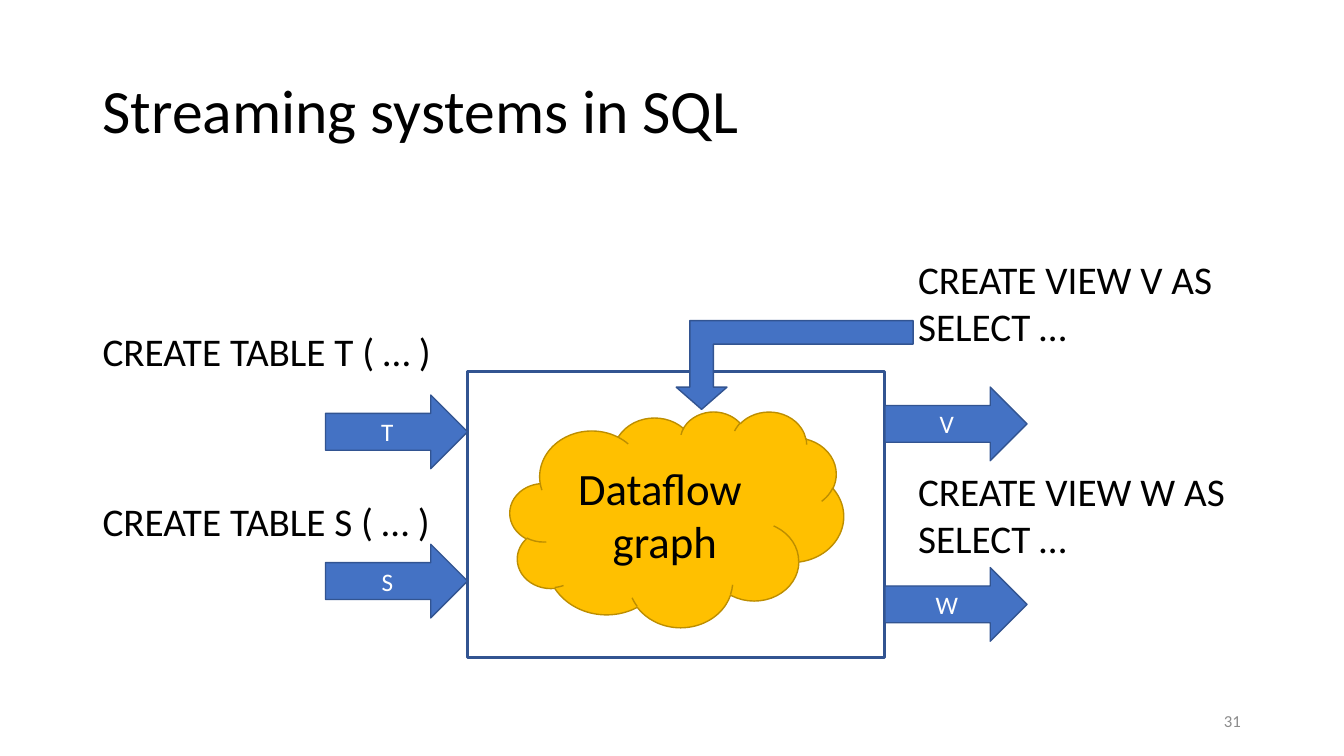
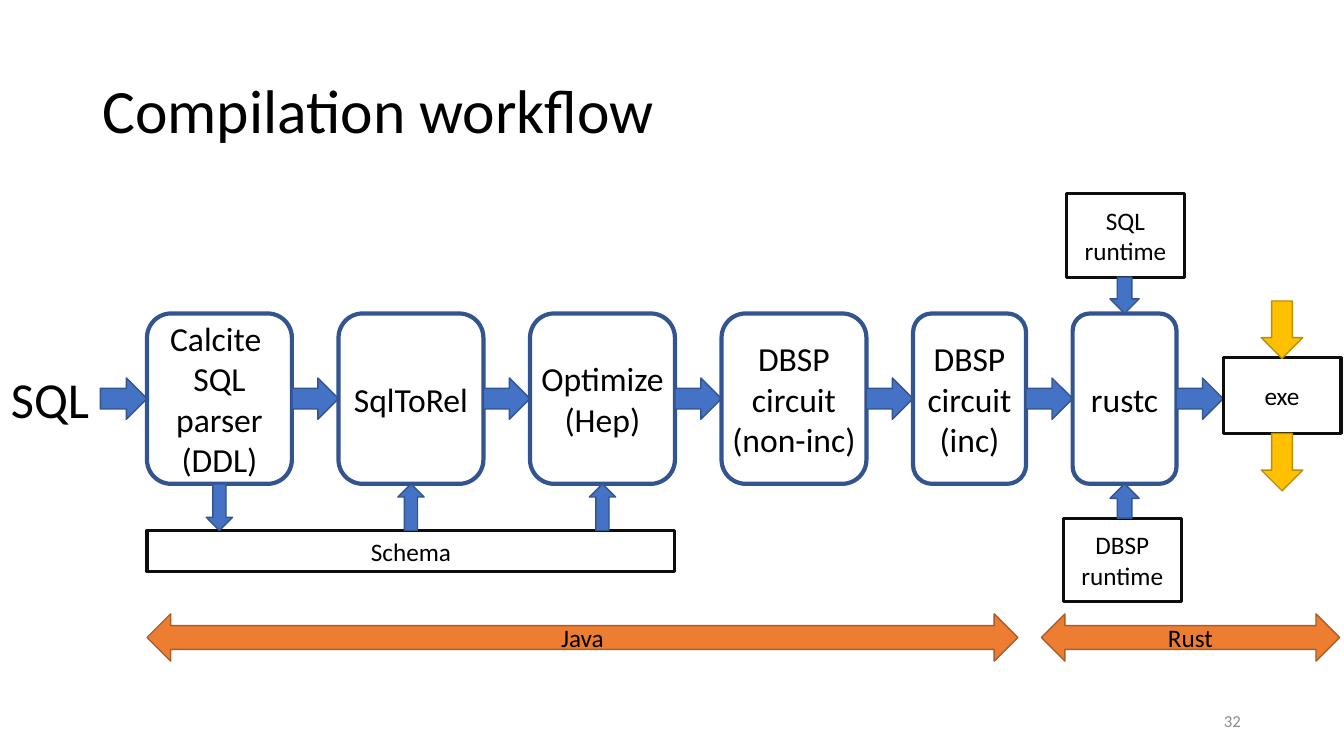
from pptx import Presentation
from pptx.dml.color import RGBColor
from pptx.enum.shapes import MSO_SHAPE
from pptx.enum.text import MSO_ANCHOR, PP_ALIGN
from pptx.util import Pt

RECT, ROUND, CLOUD = MSO_SHAPE.RECTANGLE, MSO_SHAPE.ROUNDED_RECTANGLE, MSO_SHAPE.CLOUD
RIGHT, DOWN, UP = MSO_SHAPE.RIGHT_ARROW, MSO_SHAPE.DOWN_ARROW, MSO_SHAPE.UP_ARROW
BOTH, BENT = MSO_SHAPE.LEFT_RIGHT_ARROW, MSO_SHAPE.BENT_UP_ARROW
TOP, MID = MSO_ANCHOR.TOP, MSO_ANCHOR.MIDDLE
LEFT, CENTER, END = PP_ALIGN.LEFT, PP_ALIGN.CENTER, PP_ALIGN.RIGHT

FONT = "Calibri"
HEX = {
    "black": "000000", "white": "FFFFFF", "gray": "8C8C8C", "ink": "0D0D0D",
    "blue": "4472C4", "navy": "325491", "gold": "FFC000", "ochre": "BD8E00",
    "orange": "ED7D31", "rust": "AF5C24",
}
BLUE = ("blue", "navy", 1)
GOLD = ("gold", "ochre", 1)
ORANGE = ("orange", "rust", 1)
FRAME = (None, "navy", 2.25)
STAGE = (None, "navy", 3)
PLAIN = (None, "ink", 2.25)


def color(name):
    """Return the palette colour of that name."""
    return RGBColor.from_string(HEX[name])


def write(shape, paras, size, ink="black", align=LEFT, anchor=TOP, wrap=True, lead=None, gap=0):
    """Fill a shape with paragraphs, breaking lines at each newline."""
    frame = shape.text_frame
    frame.word_wrap = wrap
    frame.vertical_anchor = anchor
    for num, text in enumerate(paras):
        para = frame.add_paragraph() if num else frame.paragraphs[0]
        para.alignment = align
        if lead:
            para.line_spacing = lead
        if num:
            para.space_before = Pt(gap)
        for row, line in enumerate(text.split("\n")):
            if row:
                para.add_line_break()
            run = para.add_run()
            run.text = line
            run.font.name = FONT
            run.font.size = Pt(size)
            run.font.color.rgb = color(ink)


def label(slide, box, paras, size, **style):
    """Add a text box."""
    write(slide.shapes.add_textbox(*map(Pt, box)), paras, size, **style)


def draw(slide, kind, box, look, text=None, size=18, ink="black", wrap=True):
    """Add a preset shape with its look and centred text."""
    shape = slide.shapes.add_shape(kind, *map(Pt, box))
    shape.shadow.inherit = False
    fill, edge, width = look
    if fill:
        shape.fill.solid()
        shape.fill.fore_color.rgb = color(fill)
    else:
        shape.fill.background()
    shape.line.color.rgb = color(edge)
    shape.line.width = Pt(width)
    if text:
        write(shape, [text], size, ink, CENTER, MID, wrap)
    return shape


def begin(deck, title, number):
    """Add a slide with its title and page number."""
    slide = deck.slides.add_slide(deck.slide_layouts[6])
    label(slide, (66.2, 28.8, 828, 104.4), [title], 44, anchor=MID, lead=0.9)
    label(slide, (843.5, 500.4, 50, 28.8), [str(number)], 12, ink="gray", align=END, anchor=MID)
    return slide


def engine(slide, x, y, w, h):
    """Draw the dataflow box with its inputs, views and cloud."""
    long, tall = 101.5, 52.6
    draw(slide, RECT, (x, y, w, h), FRAME)
    ports = [("T", -long, 16.5), ("S", -long, 123.1), ("V", w, 10.8), ("W", w, 139.7)]
    for name, dx, dy in ports:
        draw(slide, RIGHT, (x + dx, y + dy, long, tall), BLUE, name, ink="white")
    for name, dy in (("V", -87.1), ("W", 64.8)):
        box = (x + w + 16.6, y + dy, 290.9, 74.9)
        label(slide, box, [f"CREATE VIEW {name} AS \nSELECT …"], 28)
    bent = draw(slide, BENT, (x + 149, y - 36.7, 169.2, 63.4), BLUE)
    bent.rotation = 180
    for num, value in enumerate((0.265, 0.286, 0.25)):
        bent.adjustments[num] = value
    draw(slide, CLOUD, (x + 30.3, y + 28.1, 238.3, 154.1), GOLD, "Dataflow \ngraph", 32)


def chain(slide, x, y, h, gap):
    """Draw the row of stages with an arrow before each and return their spans."""
    stages = [
        ("Calcite \nSQL parser\n(DDL)", 103.5, True), ("SqlToRel", 103.5, False),
        ("Optimize\n(Hep)", 103.5, False), ("DBSP\ncircuit\n(non-inc)", 103.5, False),
        ("DBSP\ncircuit\n(inc)", 80.7, False), ("rustc", 74.2, False), ("exe", 84.2, True),
    ]
    spans = []
    for text, w, wrap in stages:
        draw(slide, RIGHT, (x - gap, y + 46.1, gap, 29.5), BLUE)
        if text == "exe":
            draw(slide, RECT, (x, y + 31.7, w, 54), PLAIN, text)
        else:
            draw(slide, ROUND, (x, y, w, h), STAGE, text, 24, wrap=wrap)
        spans.append((x, w))
        x += w + gap
    return spans


def schema(slide, spans, y, gap):
    """Draw the schema bar below the given stages with its arrows."""
    left, right = spans[0][0], sum(spans[-1])
    draw(slide, RECT, (left, y + gap, right - left, 29.5), PLAIN, "Schema")
    for kind, (x, w) in zip((DOWN, UP, UP), spans):
        draw(slide, kind, (x + w / 2 - 9.4, y, 18.8, gap), BLUE)


def support(slide, mid, y, h):
    """Draw the runtimes above and below a stage centred at mid."""
    w, tall, up, low = 84.2, 59.8, 25.9, 24.5
    draw(slide, RECT, (mid + 0.6 - w / 2, y - up - tall, w, tall), PLAIN, "SQL runtime")
    draw(slide, RECT, (mid - 1.6 - w / 2, y + h + low, w, tall), PLAIN, "DBSP runtime")
    draw(slide, DOWN, (mid - 10.4, y - up, 20.8, up), BLUE)
    draw(slide, UP, (mid - 10.4, y + h, 20.8, low), BLUE)


def systems(deck):
    """Build the slide on streaming systems."""
    slide = begin(deck, "Streaming systems in SQL", 31)
    tables = ["CREATE TABLE T ( … )", "CREATE TABLE S ( … )"]
    label(slide, (66.2, 234, 298, 277.2), tables, 28, lead=0.9, gap=91)
    engine(slide, 334, 265.7, 298.1, 203.8)


def workflow(deck):
    """Build the slide on the compilation workflow."""
    slide = begin(deck, "Compilation workflow", 32)
    y, h, gap = 223.9, 121.7, 33.3
    label(slide, (0.7, 259.2, 71.3, 51.1), ["SQL"], 36, wrap=False)
    spans = chain(slide, 105, y, h, gap)
    schema(slide, spans[:3], y + h, gap)
    x, w = spans[5]
    support(slide, x + w / 2, y, h)
    x, w = spans[6]
    for top in (215, 309.6):
        draw(slide, DOWN, (x + w / 2 - 14.8, top, 29.6, 41), GOLD)
    for text, left, wide in (("Java", 105, 622), ("Rust", 743.8, 213.1)):
        draw(slide, BOTH, (left, 438.5, wide, 33.8), ORANGE, text)


def main():
    """Build and save the deck."""
    deck = Presentation()
    deck.slide_width, deck.slide_height = Pt(960), Pt(540)
    systems(deck)
    workflow(deck)
    deck.save("out.pptx")


if __name__ == "__main__":
    main()
